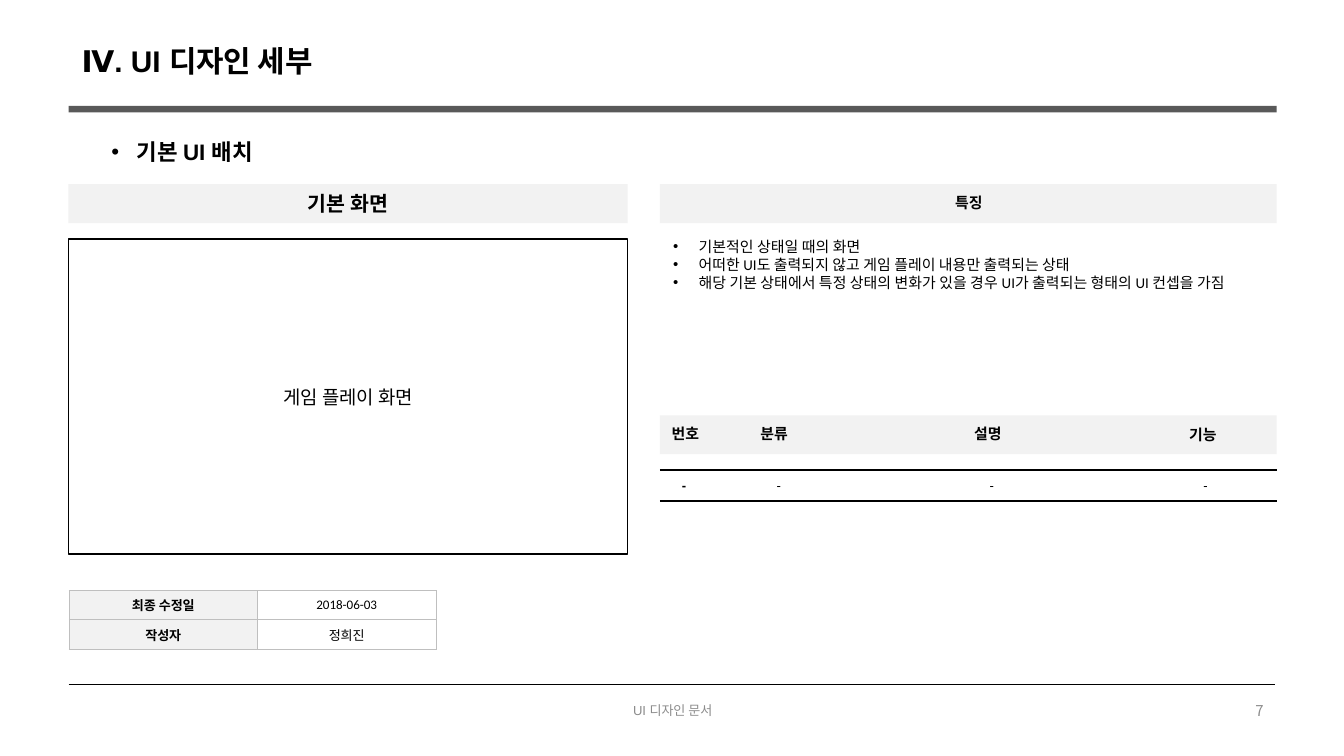
from lxml.etree import SubElement
from pptx import Presentation
from pptx.dml.color import RGBColor
from pptx.enum.shapes import MSO_CONNECTOR, MSO_SHAPE
from pptx.enum.text import MSO_ANCHOR, PP_ALIGN
from pptx.oxml import parse_xml
from pptx.oxml.ns import nsdecls, qn
from pptx.util import Inches, Pt

BLACK = RGBColor(0x00, 0x00, 0x00)
DARK = RGBColor(0x59, 0x59, 0x59)
GRAY = RGBColor(0x8C, 0x8C, 0x8C)
BORDER = RGBColor(0xBF, 0xBF, 0xBF)
PALE = RGBColor(0xF2, 0xF2, 0xF2)
KOREAN = "Noto Sans CJK KR"
NO_STYLE = "{2D5ABB26-0587-4C30-8999-92F81FD0307C}"
COLUMNS, ROWS = 100, 56.25
LEFT, RIGHT_PANEL, RIGHT_EDGE = 5.1, 49.1, 95
LEFT_WIDTH, RIGHT_WIDTH = 41.6, 45.9
HEADER_TOP, HEADER_HEIGHT = 13.7, 2.9
LABEL_WIDTH, LABEL_HEIGHT = 6.2, 2.4


def grid(*counts):
    """Convert grid counts to slide lengths."""
    return [Inches(count / 10) for count in counts]


def write(frame, lines, size, font="Arial", bold=False, color=BLACK,
          align=PP_ALIGN.LEFT, anchor=MSO_ANCHOR.TOP, bullet=False):
    """Fill a text frame with equally formatted paragraphs."""
    frame.word_wrap = True
    frame.vertical_anchor = anchor
    formats = {"size": Pt(size), "name": font, "bold": bold}
    for index, line in enumerate(lines):
        paragraph = frame.add_paragraph() if index else frame.paragraphs[0]
        paragraph.alignment = align
        run = paragraph.add_run()
        run.text = line
        for name, value in formats.items():
            setattr(run.font, name, value)
        run.font.color.rgb = color
        SubElement(run.font._element, qn("a:ea"), typeface=KOREAN)
        if bullet:
            properties = paragraph._p.get_or_add_pPr()
            properties.set("marL", str(Inches(0.19)))
            properties.set("indent", str(-Inches(0.19)))
            SubElement(properties, qn("a:buFont"), typeface="Arial")
            SubElement(properties, qn("a:buChar"), char="•")


def add_text(slide, area, lines, size, **formats):
    """Add a wrapped text box."""
    write(slide.shapes.add_textbox(*grid(*area)).text_frame, lines, size, **formats)


def add_label(slide, center, top, text):
    """Add a bold column label around a centre."""
    area = (center - LABEL_WIDTH / 2, top, LABEL_WIDTH, LABEL_HEIGHT)
    add_text(slide, area, [text], 8, bold=True, align=PP_ALIGN.CENTER)


def add_box(slide, area, fill=None, line=None):
    """Add a rectangle with an optional fill and outline."""
    shape = slide.shapes.add_shape(MSO_SHAPE.RECTANGLE, *grid(*area))
    shape.shadow.inherit = False
    for paint, color in ((shape.fill, fill), (shape.line.fill, line)):
        if color is None:
            paint.background()
        else:
            paint.solid()
            paint.fore_color.rgb = color
    if line is not None:
        shape.line.width = Pt(1)
    return shape


def add_rule(slide, left, right, top, width):
    """Add a horizontal black line."""
    rule = slide.shapes.add_connector(MSO_CONNECTOR.STRAIGHT, *grid(left, top, right, top))
    rule.line.color.rgb = BLACK
    rule.line.width = Pt(width)
    SubElement(rule._element.spPr, qn("a:effectLst"))


def add_borders(cell, sides, color, width):
    """Draw the named sides of a table cell."""
    properties = cell._tc.get_or_add_tcPr()
    for index, side in enumerate(sides):
        properties.insert(index, parse_xml(
            f'<a:ln{side} {nsdecls("a")} w="{Pt(width)}"><a:solidFill>'
            f'<a:srgbClr val="{color}"/></a:solidFill></a:ln{side}>'))


def add_table(slide, left, top, widths, height, texts, font, header_fill, borders):
    """Add a table with a bold first column and borders listed by row."""
    area = grid(left, top, sum(widths), height * len(texts))
    table = slide.shapes.add_table(len(texts), len(widths), *area).table
    table.first_row = table.horz_banding = False
    table._tbl.tblPr.find(qn("a:tableStyleId")).text = NO_STYLE
    for column, width in zip(table.columns, grid(*widths)):
        column.width = width
    for row, values, (sides, color, width) in zip(table.rows, texts, borders):
        row.height = grid(height)[0]
        for index, (cell, value) in enumerate(zip(row.cells, values)):
            cell.margin_top = cell.margin_bottom = Inches(0.02)
            cell.vertical_anchor = MSO_ANCHOR.MIDDLE
            cell.fill.background()
            if header_fill and index == 0:
                cell.fill.solid()
                cell.fill.fore_color.rgb = header_fill
            if value:
                write(cell.text_frame, [value], 7, font=font, bold=index == 0,
                      align=PP_ALIGN.CENTER, anchor=MSO_ANCHOR.MIDDLE)
            else:
                cell.text_frame.paragraphs[0].font.size = Pt(7)
            add_borders(cell, sides, color, width)


def add_frame(slide):
    """Add the title, its bar and the footer."""
    add_text(slide, (LEFT, 2.7, 22.7, 3.7), ["Ⅳ. UI 디자인 세부"], 16, bold=True)
    add_box(slide, (LEFT, 7.87, RIGHT_EDGE - LEFT, 0.5), DARK)
    add_rule(slide, LEFT, 94.9, 50.95, 0.5)
    footer = {"color": GRAY, "anchor": MSO_ANCHOR.MIDDLE}
    add_text(slide, (34.2, 51.35, 31.7, 3), ["UI 디자인 문서"], 7,
             align=PP_ALIGN.CENTER, **footer)
    add_text(slide, (71.7, 51.35, 23.3, 3), ["7"], 8, font=KOREAN,
             align=PP_ALIGN.RIGHT, **footer)


def add_screen_panel(slide):
    """Add the screen layout and the revision table."""
    add_text(slide, (7.3, 9.8, 22.6, 3), ["기본 UI 배치"], 12, bold=True, bullet=True)
    header = add_box(slide, (LEFT, HEADER_TOP, LEFT_WIDTH, HEADER_HEIGHT), PALE)
    write(header.text_frame, ["기본 화면"], 11, font="Calibri", bold=True,
          align=PP_ALIGN.CENTER, anchor=MSO_ANCHOR.MIDDLE)
    add_box(slide, (LEFT, 17.8, LEFT_WIDTH, 23.4), line=BLACK)
    add_text(slide, (17.5, 28.2, 16.8, 2.7), ["게임 플레이 화면"], 10.1,
             font="Calibri", align=PP_ALIGN.CENTER)
    add_table(slide, 5.15, 43.95, (14, 13.3), 2.18,
              [("최종 수정일", "2018-06-03"), ("작성자", "정희진")],
              "Calibri", PALE, [("LRTB", BORDER, 0.5)] * 2)


def add_feature_panel(slide):
    """Add the feature list and the element table."""
    for top in (HEADER_TOP, 30.9):
        add_box(slide, (RIGHT_PANEL, top, RIGHT_WIDTH, HEADER_HEIGHT), PALE)
    add_label(slide, 72.1, 13.9, "특징")
    add_text(slide, (RIGHT_PANEL, 17.2, 45.8, 6.4), [
        "기본적인 상태일 때의 화면",
        "어떠한 UI도 출력되지 않고 게임 플레이 내용만 출력되는 상태",
        "해당 기본 상태에서 특정 상태의 변화가 있을 경우 UI가 출력되는 형태의 UI 컨셉을 가짐",
    ], 8, font="Calibri", bullet=True)
    labels = ((51, 31.1, "번호"), (57.6, 31.1, "분류"),
              (73.5, 31.1, "설명"), (89.5, 31.2, "기능"))
    for center, top, text in labels:
        add_label(slide, center, top, text)
    add_rule(slide, RIGHT_PANEL, RIGHT_EDGE, 35, 1)
    add_table(slide, RIGHT_PANEL, 35, (3.6, 10.5, 21.2, 10.6), 2.3,
              [("-",) * 4, ("",) * 4], "Arial", None,
              [("B", BLACK, 1), ("T", BLACK, 1)])


def main():
    """Build and save the slide."""
    presentation = Presentation()
    presentation.slide_width, presentation.slide_height = grid(COLUMNS, ROWS)
    slide = presentation.slides.add_slide(presentation.slide_layouts[6])
    add_frame(slide)
    add_screen_panel(slide)
    add_feature_panel(slide)
    presentation.save("out.pptx")


main()
